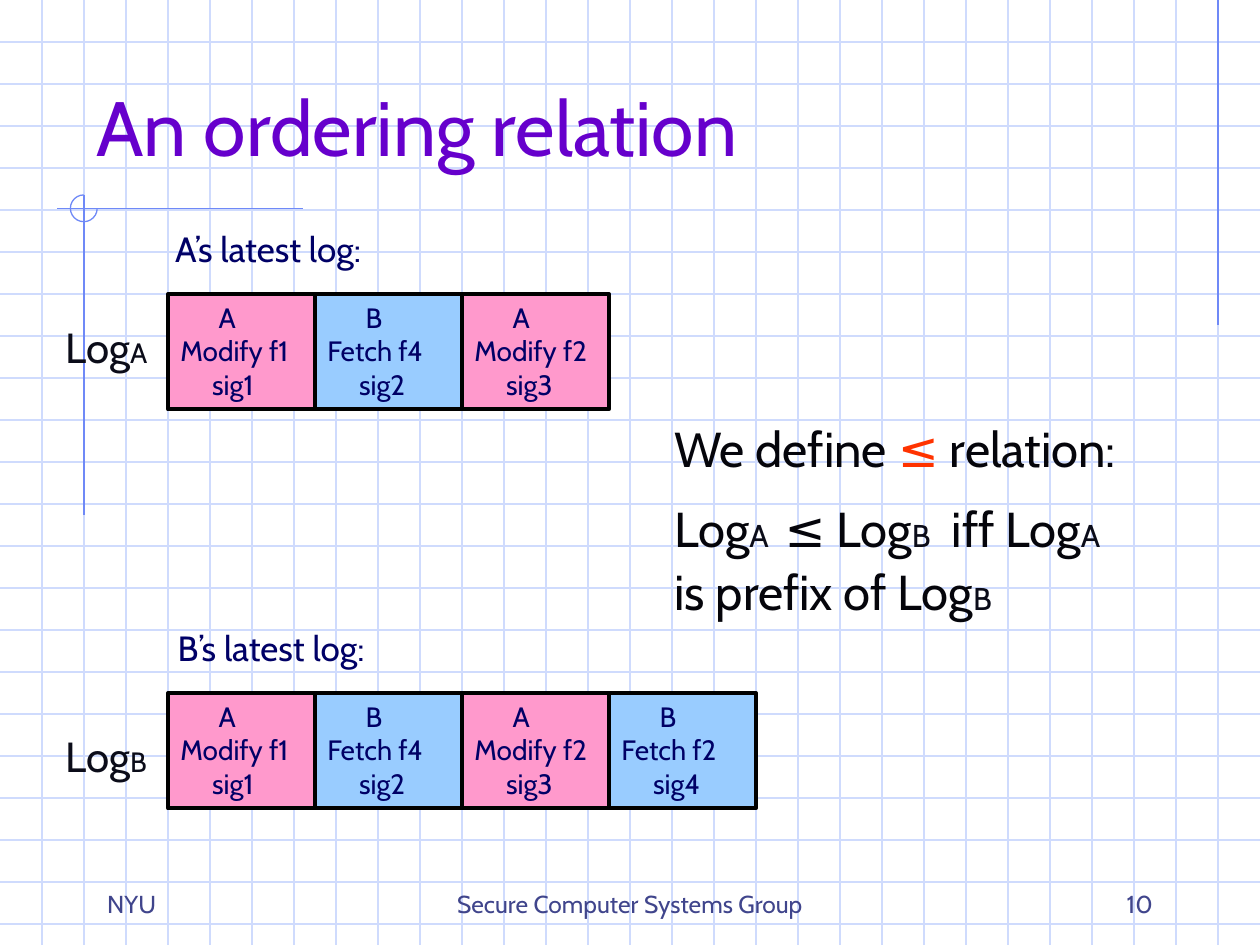
"""Build the slide that defines an ordering relation between two signed logs."""
from dataclasses import dataclass
from typing import Any, Optional

from lxml.etree import SubElement
from pptx import Presentation
from pptx.dml.color import RGBColor
from pptx.enum.shapes import MSO_CONNECTOR as Connector, MSO_SHAPE as Preset
from pptx.enum.text import MSO_ANCHOR as Anchor, PP_ALIGN as Align
from pptx.oxml.ns import qn
from pptx.util import Cm, Length, Pt

WIDTH, HEIGHT = Cm(25.4), Cm(19.05)
GRID = WIDTH // 30


@dataclass(frozen=True)
class Theme:
    font: str = "Cabin"
    grid: str = "CFDBFD"
    accent: str = "6F89F7"
    title: str = "6600CC"
    navy: str = "000066"
    ink: str = "05050B"
    label: str = "0B0C19"
    alert: str = "FF3300"
    footer: str = "40458C"
    pink: str = "FF99CC"
    blue: str = "99CCFF"
    outline: str = "000000"
    title_size: int = 44
    wide_space_size: int = 40
    relation_size: int = 28
    name_size: int = 24
    caption_size: int = 20
    subscript_size: int = 18
    cell_size: int = 16
    footer_size: int = 14
    thin: float = 0.75
    thick: float = 2.25


THEME = Theme()


@dataclass(frozen=True)
class Run:
    text: str
    size: int
    color: str


@dataclass(frozen=True)
class Line:
    runs: tuple[Run, ...]
    indent: Optional[Length] = None
    tab: Optional[Length] = None


@dataclass(frozen=True)
class Box:
    left: float
    top: float
    width: float
    height: float


@dataclass(frozen=True)
class Entry:
    owner: str
    action: str
    signature: str


@dataclass(frozen=True)
class Log:
    owner: str
    top: int
    caption: Box
    name: Box
    length: int


ENTRIES = (
    Entry("A", "Modify f1", "sig1"),
    Entry("B", "Fetch f4", "sig2"),
    Entry("A", "Modify f2", "sig3"),
    Entry("B", "Fetch f2", "sig4"),
)
LOGS = (
    Log("A", 7 * GRID, Box(3.28, 4.47, 4.85, 1.12), Box(1.07, 6.35, 2.34, 1.96), 3),
    Log("B", 33 * GRID // 2, Box(3.33, 12.5, 4.85, 1.12), Box(1.07, 14.6, 2.34, 1.96), 4),
)


def color(value: str) -> RGBColor:
    return RGBColor.from_string(value)


def write(frame: Any, lines: tuple[Line, ...], align: Align = Align.LEFT,
          anchor: Anchor = Anchor.TOP) -> None:
    for name, value in {"word_wrap": True, "vertical_anchor": anchor}.items():
        setattr(frame, name, value)
    for index, line in enumerate(lines):
        paragraph = frame.add_paragraph() if index else frame.paragraphs[0]
        paragraph.alignment = align
        properties = paragraph._p.get_or_add_pPr()
        if line.indent is not None:
            properties.set("marL", str(line.indent))
        if line.tab is not None:
            tabs = SubElement(properties, qn("a:tabLst"))
            SubElement(tabs, qn("a:tab"), pos=str(line.tab), algn="l")
        for part in line.runs:
            run = paragraph.add_run()
            run.text = part.text
            for name, value in {"name": THEME.font, "size": Pt(part.size)}.items():
                setattr(run.font, name, value)
            run.font.color.rgb = color(part.color)


def add_text(slide: Any, box: Box, lines: tuple[Line, ...], align: Align = Align.LEFT,
             anchor: Anchor = Anchor.TOP) -> None:
    shape = slide.shapes.add_textbox(Cm(box.left), Cm(box.top), Cm(box.width), Cm(box.height))
    write(shape.text_frame, lines, align, anchor)


def add_line(slide: Any, start: tuple[int, int], end: tuple[int, int], tint: str) -> None:
    connector = slide.shapes.add_connector(Connector.STRAIGHT, *start, *end)
    connector.line.color.rgb = color(tint)
    connector.line.width = Pt(THEME.thin)
    SubElement(connector._element.spPr, qn("a:effectLst"))


def draw_background(slide: Any) -> None:
    for y in range(GRID, HEIGHT, GRID):
        add_line(slide, (0, y), (WIDTH, y), THEME.grid)
    for x in range(GRID, WIDTH, GRID):
        add_line(slide, (x, 0), (x, HEIGHT), THEME.grid)
    add_line(slide, (29 * GRID, 0), (29 * GRID, Cm(6.55)), THEME.accent)
    add_line(slide, (Cm(6.1), Cm(4.2)), (Cm(1.15), Cm(4.2)), THEME.accent)
    add_line(slide, (2 * GRID, Cm(3.93)), (2 * GRID, Cm(10.39)), THEME.accent)
    arc = slide.shapes.add_shape(Preset.ARC, Cm(1.42), Cm(3.93), Cm(0.54), Cm(0.54))
    arc.adjustments[0], arc.adjustments[1] = 0, 162
    arc.shadow.inherit = False
    arc.fill.background()
    arc.line.color.rgb = color(THEME.accent)
    arc.line.width = Pt(THEME.thin)


def draw_entry(slide: Any, entry: Entry, left: int, top: int, width: int) -> None:
    shape = slide.shapes.add_shape(Preset.RECTANGLE, left, top, width, 11 * GRID // 4)
    shape.shadow.inherit = False
    shape.fill.solid()
    shape.fill.fore_color.rgb = color(THEME.pink if entry.owner == "A" else THEME.blue)
    shape.line.color.rgb = color(THEME.outline)
    shape.line.width = Pt(THEME.thick)
    rows = ((entry.owner, Cm(0.77)), (entry.action, None), (entry.signature, Cm(0.64)))
    write(shape.text_frame, tuple(
        Line((Run(text, THEME.cell_size, THEME.navy),), indent) for text, indent in rows))


def draw_log(slide: Any, log: Log) -> None:
    width = 7 * GRID // 2
    for index, entry in enumerate(ENTRIES[:log.length]):
        draw_entry(slide, entry, 4 * GRID + index * width, log.top, width)
    caption = Run(f"{log.owner}’s latest log:", THEME.caption_size, THEME.navy)
    add_text(slide, log.caption, (Line((caption,)),))
    name = (Run("Log", THEME.name_size, THEME.label),
            Run(log.owner, THEME.cell_size, THEME.label))
    add_text(slide, log.name, (Line(name),))


def draw_relation(slide: Any) -> None:
    def body(text: str, tint: str = THEME.ink) -> Run:
        return Run(text, THEME.relation_size, tint)

    def subscript(text: str) -> Run:
        return Run(text, THEME.subscript_size, THEME.label)

    add_text(slide, Box(13.34, 8.31, 10.34, 4.32), (
        Line((body("We define "), body("≤", THEME.alert), body(" relation:"))),
        Line((body("Log"), subscript("A"), Run(" ", THEME.wide_space_size, THEME.ink),
              body("≤ Log"), subscript("B"), body("\tiff Log"), subscript("A")), tab=Cm(5.6)),
        Line((body("is prefix of Log"), subscript("B"))),
    ))


def draw_footer(slide: Any) -> None:
    for text, left, width, align in (
        ("Secure Computer Systems Group", 8.68, 8.04, Align.CENTER),
        ("10", 18.2, 5.29, Align.RIGHT),
        ("NYU", 1.91, 5.29, Align.LEFT),
    ):
        line = Line((Run(text, THEME.footer_size, THEME.footer),))
        add_text(slide, Box(left, 17.36, width, 1.27), (line,), align, Anchor.BOTTOM)


def main() -> None:
    presentation = Presentation()
    presentation.slide_width, presentation.slide_height = WIDTH, HEIGHT
    slide = presentation.slides.add_slide(presentation.slide_layouts[6])
    draw_background(slide)
    title = Line((Run("An ordering relation", THEME.title_size, THEME.title),))
    add_text(slide, Box(1.69, 0.42, 21.59, 3.18), (title,), anchor=Anchor.BOTTOM)
    for log in LOGS:
        draw_log(slide, log)
    draw_relation(slide)
    draw_footer(slide)
    presentation.save("out.pptx")


if __name__ == "__main__":
    main()
